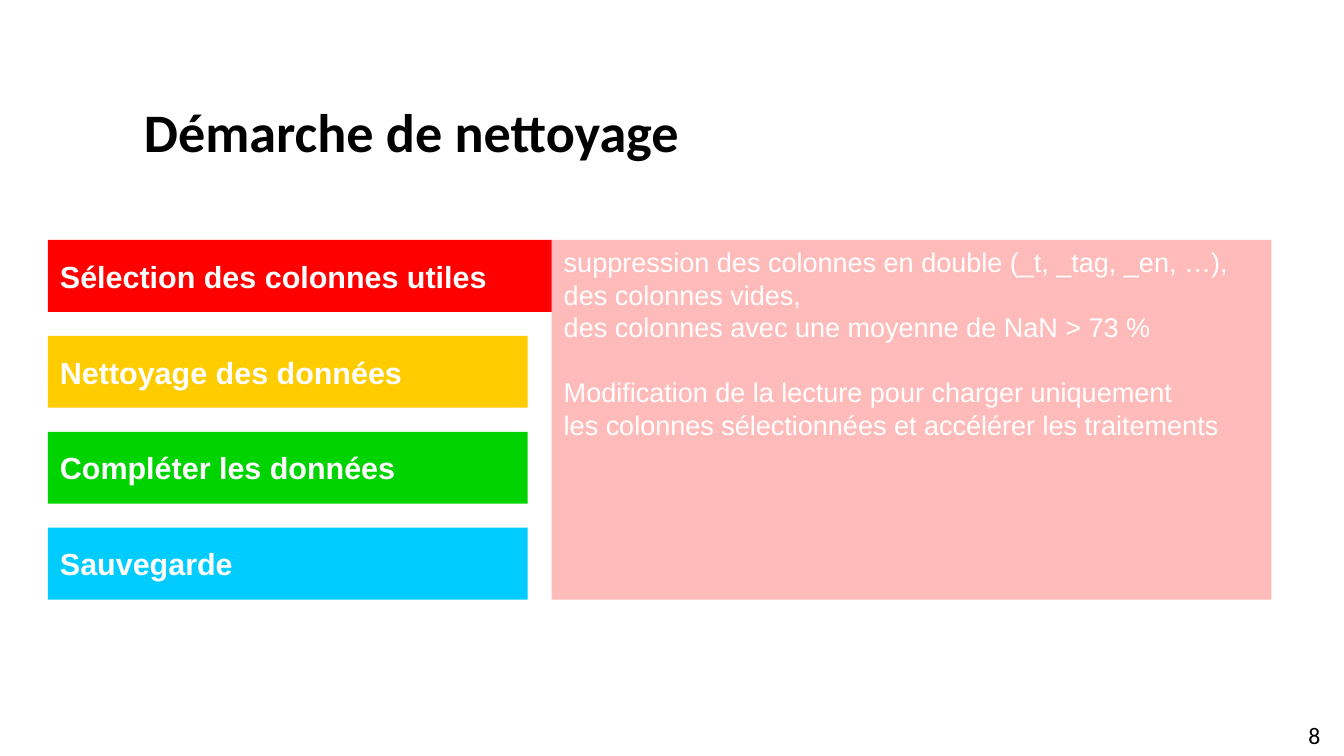
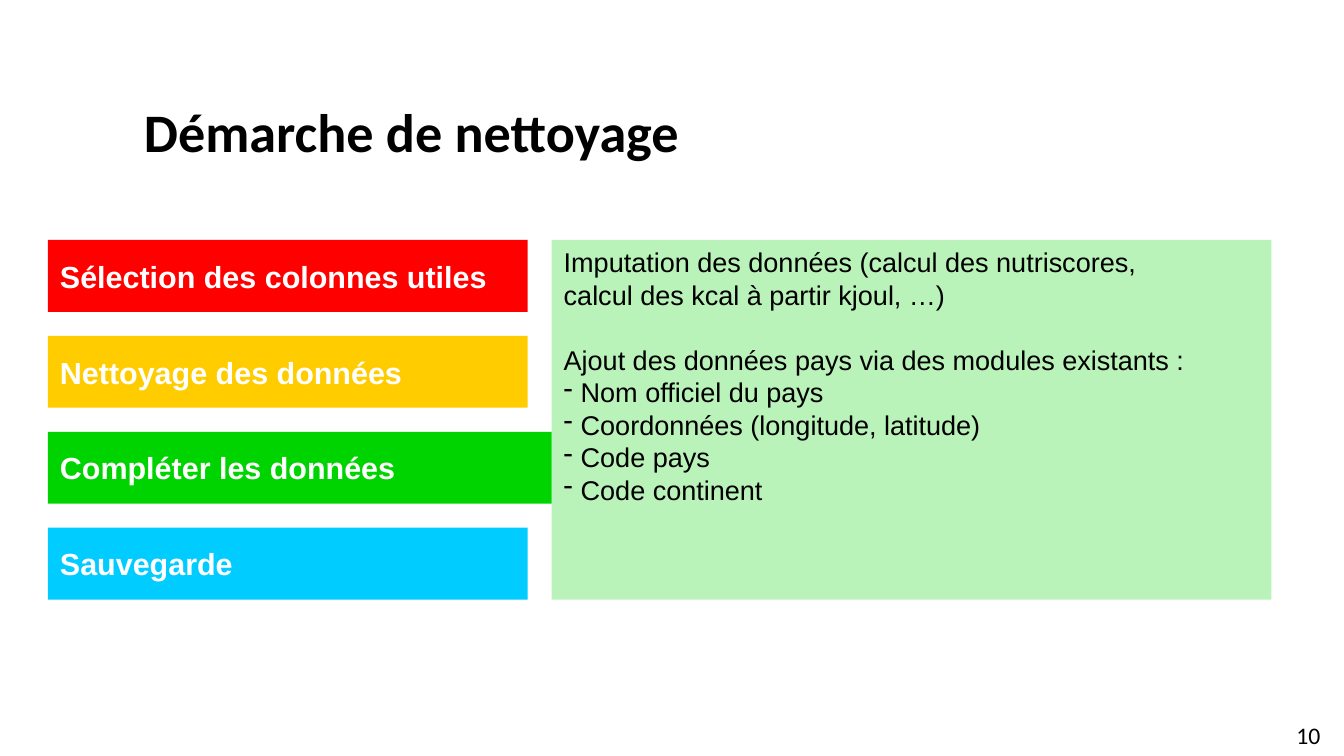
from lxml import etree
from pptx import Presentation, util as u
from pptx.dml.color import RGBColor
from pptx.enum import shapes, text
from pptx.oxml.ns import qn

PX = 914400 // 122
COLORS = {"red": "FF0000", "yellow": "FFCC00", "green": "00D400",
          "blue": "00CCFF", "white": "FFFFFF", "black": "000000"}
TITLE = "Démarche de nettoyage"
STEPS = [("Sélection des colonnes utiles", "red"),
         ("Nettoyage des données", "yellow"),
         ("Compléter les données", "green"),
         ("Sauvegarde", "blue")]
LEFT, TOP, BAR_W, BAR_H, GAP = 48, 240, 480, 72, 24
PANEL_W = 720
PANEL_H = len(STEPS) * BAR_H + (len(STEPS) - 1) * GAP
PANEL_OPACITY = 27
DASH_INDENT = 17

# Each panel is a list of blocks; lines starting with "- " become list items.
SLIDES = [
    {"number": "8", "active": 0, "color": "white", "blocks": [
        ["suppression des colonnes en double (_t, _tag, _en, …),",
         "des colonnes vides,",
         "des colonnes avec une moyenne de NaN > 73 %"],
        ["Modification de la lecture pour charger uniquement",
         "les colonnes sélectionnées et accélérer les traitements"]]},
    {"number": "10", "active": 2, "color": "black", "blocks": [
        ["Imputation des données (calcul des nutriscores,",
         "calcul des kcal à partir kjoul, …)"],
        ["Ajout des données pays via des modules existants :",
         "- Nom officiel du pays",
         "- Coordonnées (longitude, latitude)",
         "- Code pays",
         "- Code continent"]]},
]


def write(sp, blocks, size, color, font="Arial", bold=False, margins=(12, 6),
          align=text.PP_ALIGN.LEFT, anchor=text.MSO_ANCHOR.MIDDLE):
    """Fill a shape with blocks of lines, one blank line's height apart."""
    tf = sp.text_frame
    tf.word_wrap = True
    tf.auto_size = text.MSO_AUTO_SIZE.NONE
    tf.vertical_anchor = anchor
    tf.margin_left = tf.margin_right = margins[0] * PX
    tf.margin_top = tf.margin_bottom = margins[1] * PX
    first = True
    for block in blocks:
        for i, line in enumerate(block):
            p = tf.paragraphs[0] if first else tf.add_paragraph()
            p.alignment = align
            if i == 0 and not first:
                p.space_before = u.Pt(19)
            first = False
            if line.startswith("- "):
                pPr = p._p.get_or_add_pPr()
                pPr.set("marL", str(DASH_INDENT * PX))
                pPr.set("indent", str(-DASH_INDENT * PX))
                etree.SubElement(pPr, qn("a:buChar")).set("char", "-")
                line = line[2:]
            r = p.add_run()
            r.text = line
            r.font.name = font
            r.font.size = u.Pt(size)
            r.font.bold = bold
            r.font.color.rgb = RGBColor.from_string(COLORS[color])


def add_rect(s, x, y, w, h, color):
    sp = s.shapes.add_shape(shapes.MSO_SHAPE.RECTANGLE,
                            x * PX, y * PX, w * PX, h * PX)
    sp.shadow.inherit = False
    sp.fill.solid()
    sp.fill.fore_color.rgb = RGBColor.from_string(COLORS[color])
    sp.line.fill.background()
    return sp


prs = Presentation()
prs.slide_width, prs.slide_height = u.Inches(11.02), u.Inches(6.2)

for page in SLIDES:
    s = prs.slides.add_slide(prs.slide_layouts[5])
    title = s.shapes.title
    title.left, title.top, title.width, title.height = (
        v * PX for v in (144, 89, 1133, 84))
    write(title, [[TITLE]], 32, "black", font="Calibri", bold=True, margins=(0, 0))

    for i, (label, color) in enumerate(STEPS):
        width = BAR_W + GAP if i == page["active"] else BAR_W
        bar = add_rect(s, LEFT, TOP + i * (BAR_H + GAP), width, BAR_H, color)
        write(bar, [[label]], 18, "white", bold=True)

    panel = add_rect(s, LEFT + BAR_W + GAP, TOP, PANEL_W, PANEL_H,
                     STEPS[page["active"]][1])
    tint = panel._element.spPr.find(qn("a:solidFill"))[0]
    etree.SubElement(tint, qn("a:alpha")).set("val", str(PANEL_OPACITY * 1000))
    write(panel, page["blocks"], 16, page["color"], anchor=text.MSO_ANCHOR.TOP)

    number = s.shapes.add_textbox(1008 * PX, 721 * PX, 313 * PX, 21 * PX)
    write(number, [[page["number"]]], 14, "black", font="Calibri", margins=(0, 0),
          align=text.PP_ALIGN.RIGHT, anchor=text.MSO_ANCHOR.TOP)

prs.save("out.pptx")
